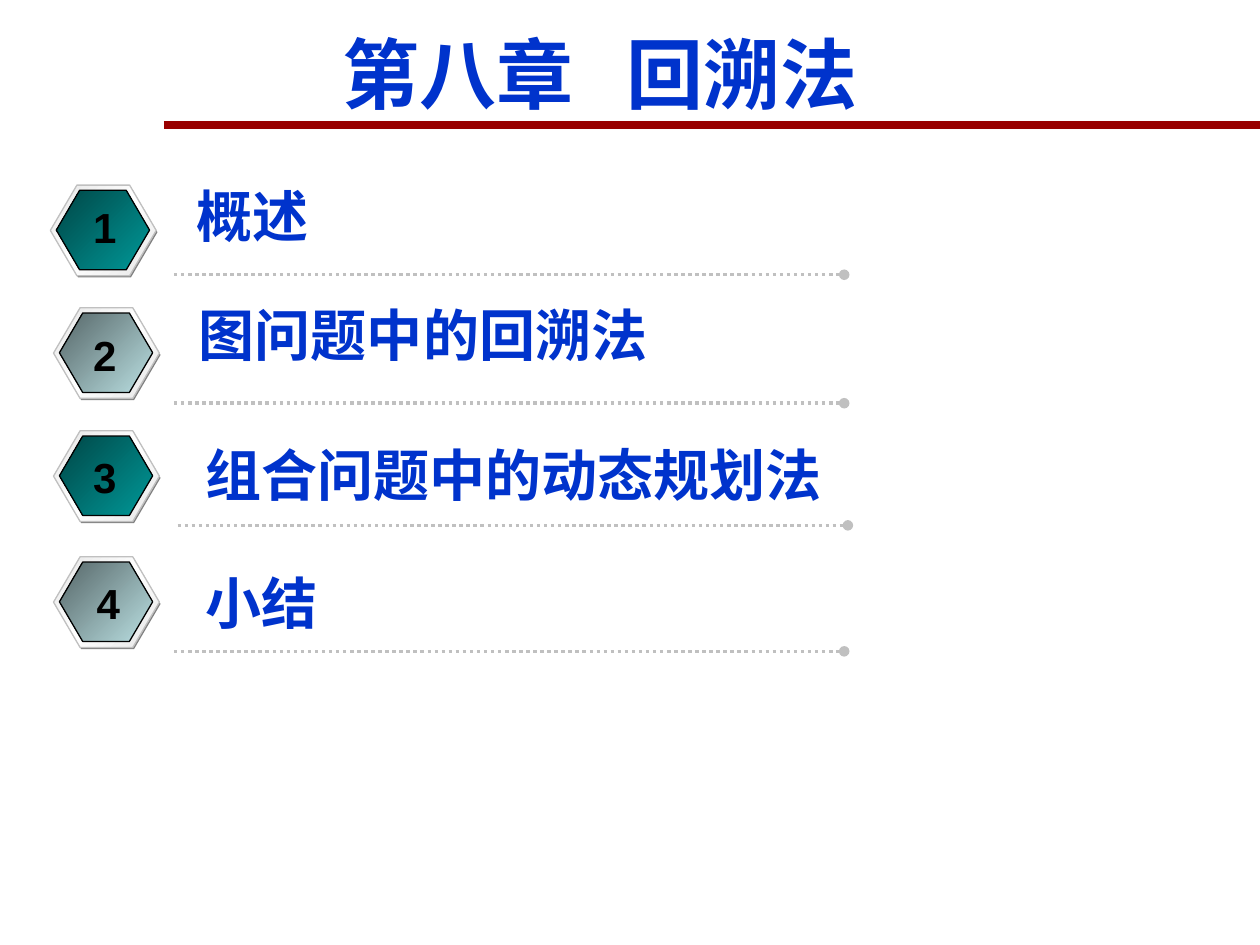
import copy
import pptx
import pptx.util
import pptx.dml.color
import pptx.enum.dml
import pptx.enum.shapes
import pptx.enum.text
import pptx.oxml
import pptx.oxml.ns

Pt = pptx.util.Pt
qn = pptx.oxml.ns.qn
HEX = pptx.enum.shapes.MSO_SHAPE.HEXAGON
LINE = pptx.enum.shapes.MSO_CONNECTOR.STRAIGHT
ALIGN = pptx.enum.text.PP_ALIGN
MID = pptx.enum.text.MSO_ANCHOR.MIDDLE
CJK = "Noto Sans CJK SC"
BLUE = "0033CC"
TEAL = ["009999", "004646"]
PALE = ["BBE0E3", "566768"]
SILVER = ["E6E6E6", "FFFFFF", "E6E6E6"]

# label, stops, badge (x, y), number x, rule (x, y), label (x, y, width)
ROWS = [
    ("概述", TEAL, (28.8, 105.8), 46.1, (99.4, 157), (105.1, 100.1, 322.6)),
    ("图问题中的回溯法", PALE, (30.6, 175.9), 46.1, (99.4, 230.4), (106.6, 167.8, 360.7)),
    ("组合问题中的动态规划法", TEAL, (30.6, 246.2), 46.1, (101.5, 300.2), (110.2, 247.7, 380.2)),
    ("小结", PALE, (30.6, 318.2), 48.2, (99.4, 372.2), (110.2, 321.1, 368.6)),
]


def color(code):
    return pptx.dml.color.RGBColor.from_string(code)


def sub(parent, tag, **attrs):
    item = pptx.oxml.parse_xml(f'<a:{tag} {pptx.oxml.ns.nsdecls("a")}/>')
    for key, value in attrs.items():
        item.set(key, value)
    parent.append(item)


def add_run(para, text, size, font, code):
    run = para.add_run()
    run.text = text
    run.font.size = Pt(size)
    run.font.name = font
    run.font.bold = True
    run.font.color.rgb = color(code)
    sub(run.font._element, "ea", typeface=CJK)
    return run


def set_frame(frame, pad_x, pad_y, wrap):
    frame.word_wrap = wrap
    frame.vertical_anchor = MID
    frame.margin_left = frame.margin_right = Pt(pad_x)
    frame.margin_top = frame.margin_bottom = Pt(pad_y)
    return frame.paragraphs[0]


def add_text(slide, box, text, size, code, align, wrap):
    shape = slide.shapes.add_textbox(*map(Pt, box))
    para = set_frame(shape.text_frame, 7.2, 3.6, wrap)
    para.alignment = align
    add_run(para, text, size, "Arial", code)


def add_line(slide, x, y, end, code, width):
    line = slide.shapes.add_connector(LINE, Pt(x), Pt(y), Pt(end), Pt(y))
    line.line.color.rgb = color(code)
    line.line.width = Pt(width)
    sub(line._element.spPr, "effectLst")
    return line


def set_stops(shape, codes):
    fill = shape.fill
    fill.gradient()
    fill.gradient_angle = 135
    stops = shape._element.spPr.find(".//" + qn("a:gsLst"))
    if len(codes) == 3:
        stops.insert(1, copy.deepcopy(stops[0]))
    for i, (stop, code) in enumerate(zip(fill.gradient_stops, codes)):
        stop.color.rgb = color(code)
        stop.position = i / (len(codes) - 1)


def add_hex(group, x, y, w, h, codes, edge):
    shape = group.shapes.add_shape(HEX, Pt(x), Pt(y), Pt(w), Pt(h))
    shape.shadow.inherit = False
    shape.adjustments[0] = 0.293
    if len(codes) > 1:
        set_stops(shape, codes)
    else:
        shape.fill.solid()
        shape.fill.fore_color.rgb = color(codes[0])
    if edge:
        shape.line.color.rgb = color(edge)
        shape.line.width = Pt(0.75)
    else:
        shape.line.fill.background()


def add_badge(slide, x, y, codes):
    group = slide.shapes.add_group_shape()
    add_hex(group, x + 0.7, y + 1, 60.5, 51.8, ["808080"], None)
    add_hex(group, x, y, 60.5, 51.8, SILVER, "C0C0C0")
    add_hex(group, x + 3.4, y + 3, 53.3, 45.4, codes, "000000")


def add_head(slide, box):
    # Heavy rule under the title
    add_line(slide, 93.6, 71.3, 720, "990000", 4.5)
    title = slide.shapes.title
    title.left, title.top, title.width, title.height = map(Pt, box)
    para = set_frame(title.text_frame, 0, 0, True)
    para.alignment = ALIGN.LEFT
    add_run(para, "第八章", 44, CJK, BLUE)
    gap = add_run(para, " ", 44, CJK, BLUE)
    gap.font._element.set("spc", "2000")
    add_run(para, "回溯法", 44, CJK, BLUE)


def add_row(slide, num, label, codes, badge, num_x, rule, place):
    add_badge(slide, *badge, codes)
    # Dotted rule with a round end
    x, y = rule
    line = add_line(slide, x, y, x + 383, "C0C0C0", 2)
    line.line.dash_style = pptx.enum.dml.MSO_LINE.ROUND_DOT
    sub(line.line._get_or_add_ln(), "tailEnd", type="oval")
    # Number and label
    add_text(slide, (num_x, y - 45.5, 27.4, 36), str(num), 24, "000000", ALIGN.CENTER, False)
    add_text(slide, (*place, 46.1), label, 32, BLUE, ALIGN.LEFT, True)


def main():
    deck = pptx.Presentation()
    deck.slide_width, deck.slide_height = Pt(720), Pt(540)
    slide = deck.slides.add_slide(deck.slide_layouts[5])
    add_head(slide, (195.8, 15.1, 362.9, 52.6))
    for num, row in enumerate(ROWS, 1):
        add_row(slide, num, *row)
    deck.save("out.pptx")


if __name__ == "__main__":
    main()
